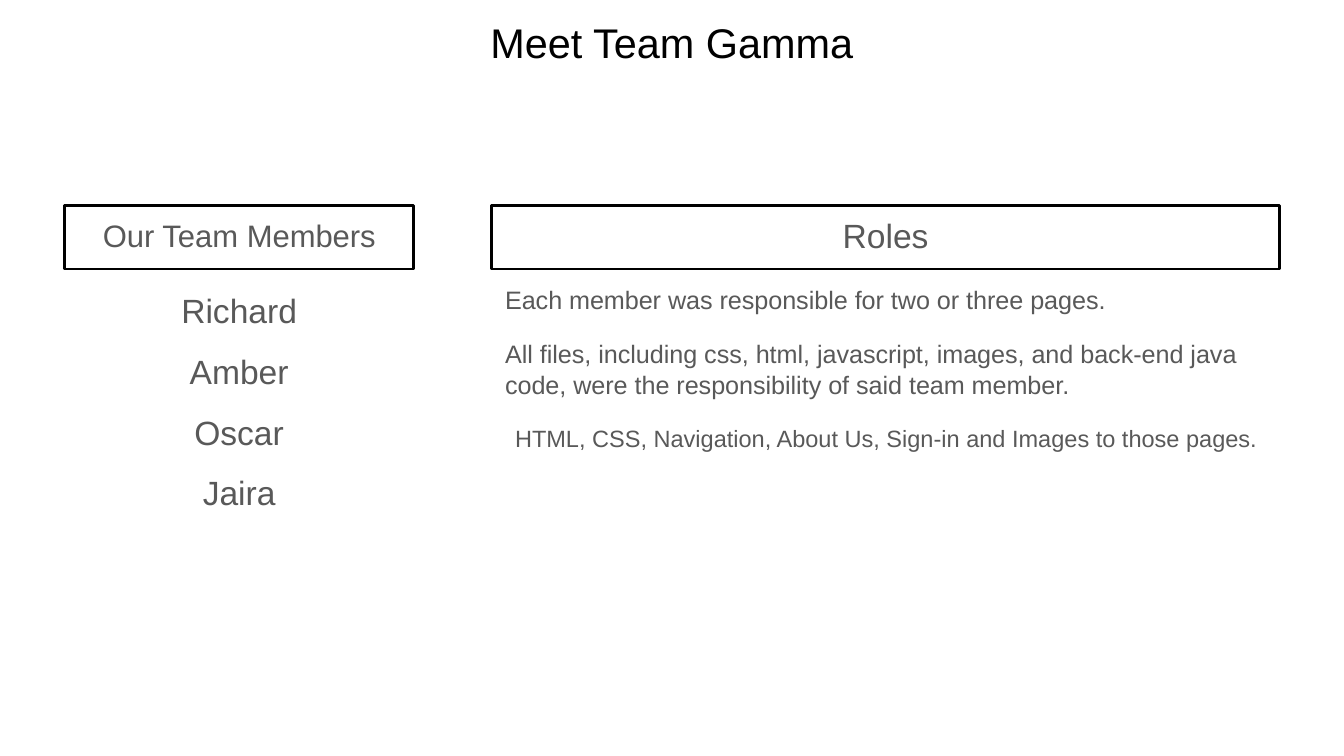
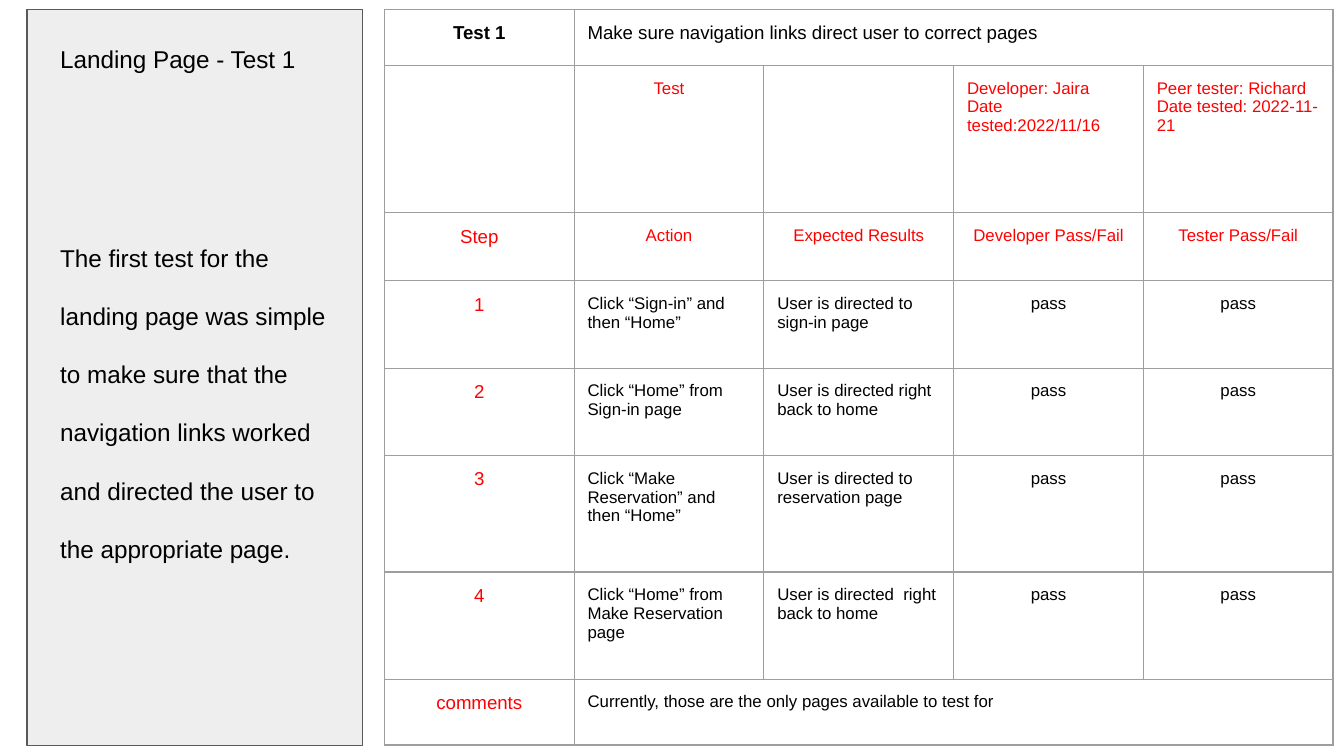
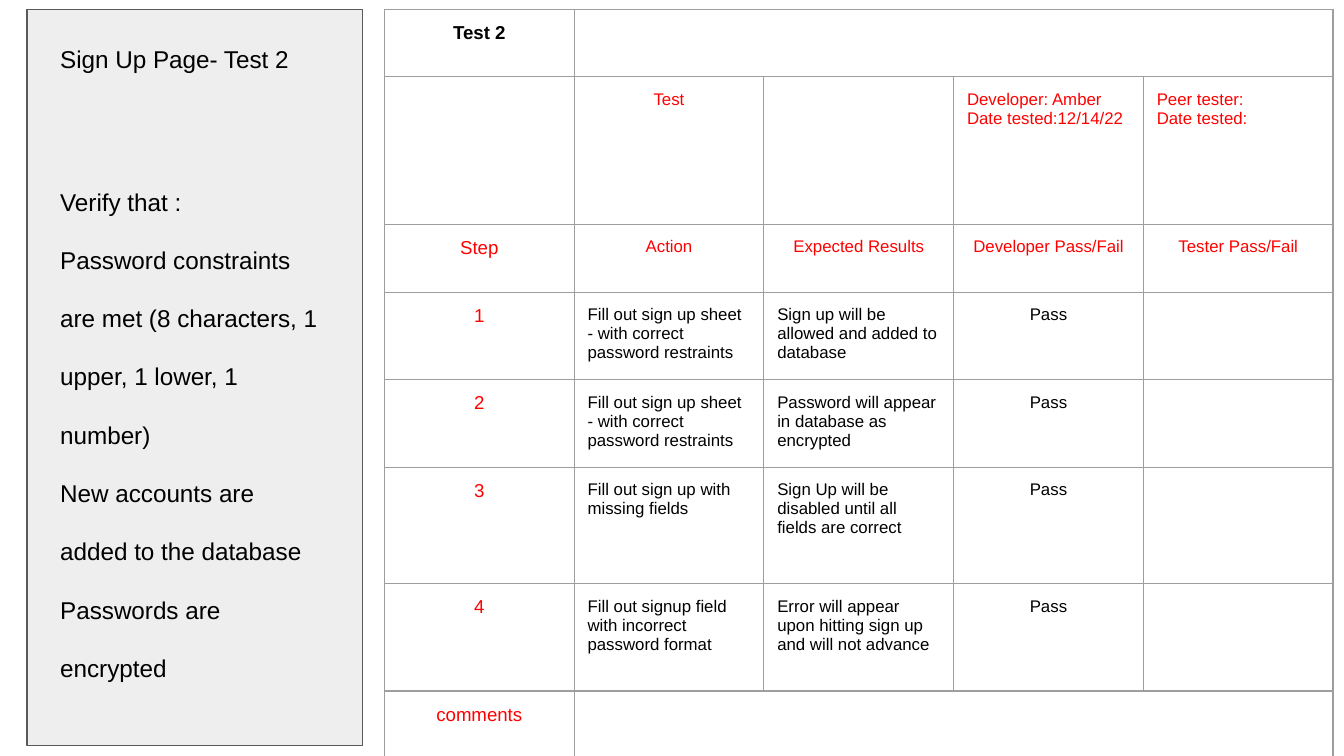
from lxml import etree
from pptx import Presentation
from pptx.dml.color import RGBColor
from pptx.enum.shapes import MSO_SHAPE
from pptx.enum.text import MSO_ANCHOR, PP_ALIGN
from pptx.oxml.ns import qn
from pptx.util import Inches, Pt

RECTANGLE = MSO_SHAPE.RECTANGLE
TOP, MIDDLE = MSO_ANCHOR.TOP, MSO_ANCHOR.MIDDLE
LEFT, CENTER = PP_ALIGN.LEFT, PP_ALIGN.CENTER

SLIDE_WIDTH, SLIDE_HEIGHT = Inches(10), Inches(5.625)
FONT = "Arial"
BLACK, GRAY, RED = "000000", "595959", "FF0000"
PANEL_FILL, GRID_LINE = "EEEEEE", "9E9E9E"
INSET = Inches(0.1)

# Shares of the slide height, in percent: title, sign-off, heads, four steps, comments
TEST_ROWS = [7.4, 19.5, 9, 11.56, 11.56, 15.4, 14.2, 8.7]
TEST_COLUMNS = 5
STEP_HEADS = ["Step", "Action", "Expected Results",
              "Developer Pass/Fail", "Tester Pass/Fail"]


def color(hex_string):
    return RGBColor.from_string(hex_string)


def across(percent):
    return int(SLIDE_WIDTH * percent / 100)


def down(percent):
    return int(SLIDE_HEIGHT * percent / 100)


def area(left, top, width, height):
    """Turn percentages of the slide into a position and a size."""
    return across(left), down(top), across(width), down(height)


def set_insets(owner):
    owner.margin_left = owner.margin_right = INSET
    owner.margin_top = owner.margin_bottom = INSET


def style_paragraph(paragraph, size, ink=GRAY, align=LEFT, spacing=None,
                    before=None, bold=False):
    paragraph.alignment = align
    if spacing:
        paragraph.line_spacing = spacing
    if before:
        paragraph.space_before = Pt(before)
    font = paragraph.font
    font.name, font.size, font.bold = FONT, Pt(size), bold
    font.color.rgb = color(ink)


def write(frame, lines, anchor=TOP):
    """Fill a frame with (text, style) pairs, one paragraph each."""
    set_insets(frame)
    frame.word_wrap = True
    frame.vertical_anchor = anchor
    for index, (text, style) in enumerate(lines):
        paragraph = frame.add_paragraph() if index else frame.paragraphs[0]
        paragraph.text = text
        style_paragraph(paragraph, **style)


def add_text(slide, place, lines, anchor=TOP):
    write(slide.shapes.add_textbox(*area(*place)).text_frame, lines, anchor)


def add_box(slide, place, line, weight, fill=None):
    box = slide.shapes.add_shape(RECTANGLE, *area(*place))
    box.shadow.inherit = False
    if fill:
        box.fill.solid()
        box.fill.fore_color.rgb = color(fill)
    else:
        box.fill.background()
    box.line.color.rgb = color(line)
    box.line.width = Pt(weight)
    return box


def add_heading(slide, place, text, size):
    heading = add_box(slide, place, BLACK, 1.5)
    style = dict(size=size, align=CENTER, spacing=0.95)
    write(heading.text_frame, [(text, style)], MIDDLE)


def outline_cell(cell):
    properties = cell._tc.get_or_add_tcPr()
    for position, side in enumerate(("a:lnL", "a:lnR", "a:lnT", "a:lnB")):
        edge = etree.Element(qn(side), w=str(Pt(0.75)))
        fill = etree.SubElement(edge, qn("a:solidFill"))
        etree.SubElement(fill, qn("a:srgbClr"), val=GRID_LINE)
        properties.insert(position, edge)


def cell_style(row, column):
    """Choose the look of a test table's cell from its place."""
    last = len(TEST_ROWS) - 1
    if row == 0:
        return dict(size=10, ink=BLACK, bold=column == 0,
                    align=LEFT if column else CENTER)
    if column == 0:
        return dict(size=10, ink=RED, align=CENTER)
    if row == 1:
        return dict(size=9, ink=RED, align=CENTER if column < 3 else LEFT)
    if row == 2:
        return dict(size=9, ink=RED, align=CENTER)
    centred = column > 2 and row < last
    return dict(size=9, ink=BLACK, align=CENTER if centred else LEFT)


def add_test_table(slide, name, goal, developer, tester, steps, comment):
    content = [[name, goal], ["", "Test", "", developer, tester], STEP_HEADS]
    content += [[str(number), *step] for number, step in enumerate(steps, 1)]
    content.append(["comments", comment])

    place = area(28.6, 1.25, 70.6, sum(TEST_ROWS))
    table = slide.shapes.add_table(len(TEST_ROWS), TEST_COLUMNS, *place).table
    table.first_row = table.horz_banding = False
    for row, share in zip(table.rows, TEST_ROWS):
        row.height = down(share)
    for cell in table.iter_cells():
        set_insets(cell)
        cell.fill.background()
        outline_cell(cell)
    for row in (0, len(TEST_ROWS) - 1):
        table.cell(row, 1).merge(table.cell(row, TEST_COLUMNS - 1))

    for row, texts in enumerate(content):
        for column, text in enumerate(texts):
            if text:
                frame = table.cell(row, column).text_frame
                frame.text = text
                for paragraph in frame.paragraphs:
                    style_paragraph(paragraph, **cell_style(row, column))


def add_sidebar(slide, title, notes, gap, height):
    """Describe a test beside its table; gap is in points below the title."""
    add_box(slide, (2, 1.25, 25, 97.4), GRAY, 0.75, PANEL_FILL)
    lines = [(title, dict(size=13, ink=BLACK))]
    for index, note in enumerate(notes):
        lines.append((note, dict(size=13, ink=BLACK, spacing=2,
                                 before=0 if index else gap)))
    add_text(slide, (3.5, 4.1, 21.7, height), lines)


def build_team(slide):
    add_text(slide, (0, 0, 100, 11.2),
             [("Meet Team Gamma", dict(size=22.2, ink=BLACK, align=CENTER))],
             MIDDLE)
    add_heading(slide, (4.8, 27.2, 26, 8.4), "Our Team Members", 16.6)
    add_heading(slide, (36.6, 27.2, 58.6, 8.4), "Roles", 18)

    members = ["Richard", "Amber", "Oscar", "Jaira"]
    add_text(slide, (4.8, 37, 26, 42.1), [
        (member, dict(size=18, align=CENTER, spacing=0.95,
                      before=12 if index else 0))
        for index, member in enumerate(members)])
    add_text(slide, (36.6, 35.6, 58.6, 33.6), [
        ("Each member was responsible for two or three pages.",
         dict(size=13.5, spacing=1.05)),
        ("All files, including css, html, javascript, images, and back-end "
         "java code, were the responsibility of said team member.",
         dict(size=13.5, spacing=1.05, before=12)),
        ("HTML, CSS, Navigation, About Us, Sign-in and Images to those pages.",
         dict(size=12.6, align=CENTER, spacing=1.05, before=12))])


def build_landing_test(slide):
    steps = [
        ("Click “Sign-in” and then “Home”",
         "User is directed to sign-in page"),
        ("Click “Home” from Sign-in page",
         "User is directed right back to home"),
        ("Click “Make Reservation” and then “Home”",
         "User is directed to reservation page"),
        ("Click “Home” from Make Reservation page",
         "User is directed  right back to home"),
    ]
    add_test_table(
        slide, "Test 1",
        "Make sure navigation links direct user to correct pages",
        "Developer: Jaira\nDate tested:2022/11/16",
        "Peer tester: Richard\nDate tested: 2022-11-21",
        [(*step, "pass", "pass") for step in steps],
        "Currently, those are the only pages available to test for")
    add_sidebar(slide, "Landing Page - Test 1", [
        "The first test for the landing page was simple to make sure that the "
        "navigation links worked and directed the user to the appropriate "
        "page."], gap=75, height=77.5)


def build_sign_up_test(slide):
    correct_entry = "Fill out sign up sheet - with correct password restraints"
    steps = [
        (correct_entry, "Sign up will be allowed and added to database"),
        (correct_entry, "Password will appear in database as encrypted"),
        ("Fill out sign up with missing fields",
         "Sign Up will be disabled until all fields are correct"),
        ("Fill out signup field with incorrect password format",
         "Error will appear upon hitting sign up and will not advance"),
    ]
    add_test_table(
        slide, "Test 2", "",
        "Developer: Amber\nDate tested:12/14/22",
        "Peer tester:\nDate tested:",
        [(*step, "Pass", "") for step in steps], "")
    add_sidebar(slide, "Sign Up Page- Test 2", [
        "Verify that :\vPassword constraints are met (8 characters, 1 upper, "
        "1 lower, 1 number)",
        "New accounts are added to the database",
        "Passwords are encrypted"], gap=45, height=92)


def main():
    deck = Presentation()
    deck.slide_width, deck.slide_height = SLIDE_WIDTH, SLIDE_HEIGHT
    blank = deck.slide_layouts[6]
    for build in (build_team, build_landing_test, build_sign_up_test):
        build(deck.slides.add_slide(blank))
    deck.save("out.pptx")


if __name__ == "__main__":
    main()
